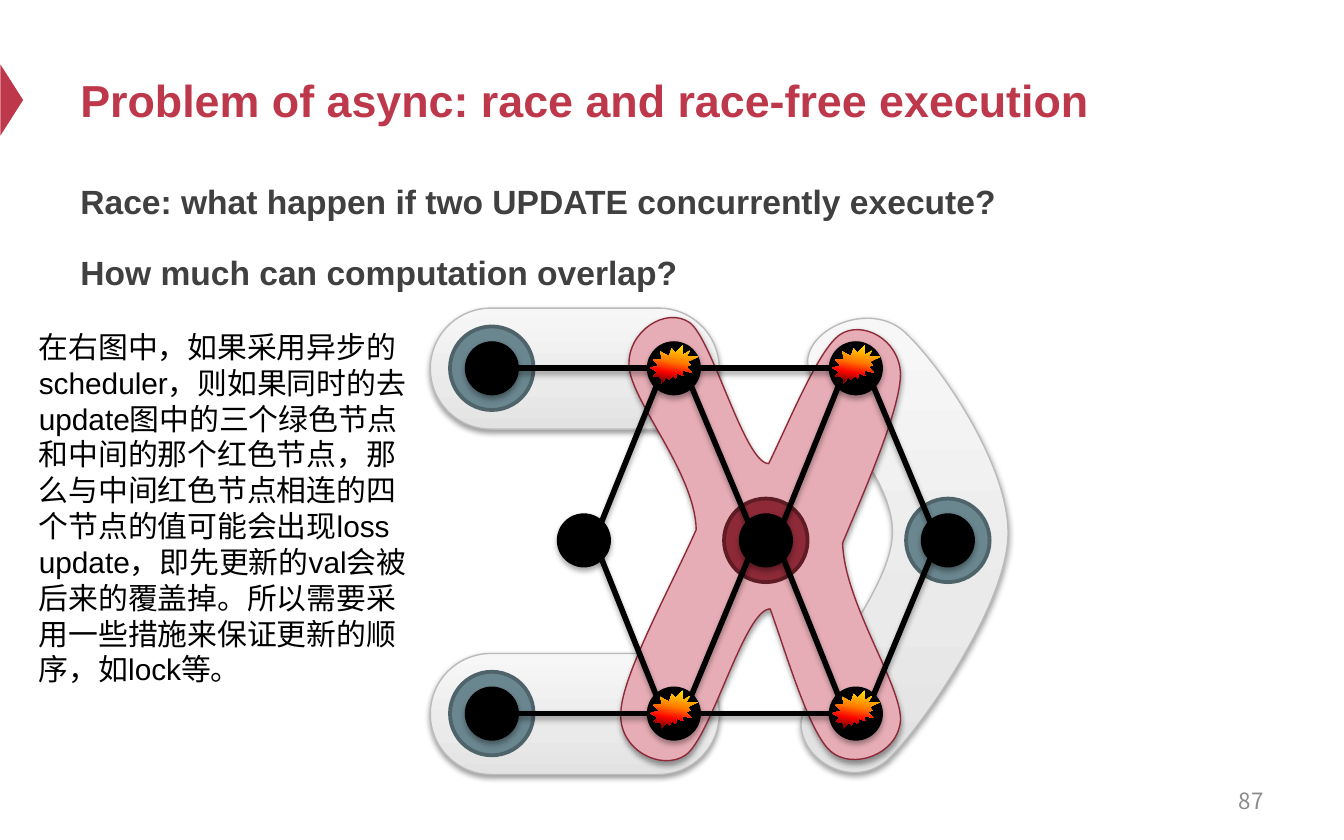
from dataclasses import dataclass
from math import hypot

from lxml import etree
from pptx import Presentation
from pptx import util as u
from pptx.dml.color import RGBColor
from pptx.enum import shapes, text
from pptx.oxml.ns import qn

Pt = u.Pt


@dataclass(frozen=True)
class Theme:
    accent: str = "BE384B"
    body: str = "404040"
    page: str = "8C8C8C"
    black: str = "000000"
    scope: tuple = ((0, "E2E2E2"), (35, "EAEAEA"), (100, "F7F7F7"))
    scope_line: str = "BBBBBB"
    conflict: str = "E7ADB6"
    red: str = "8E2A38"
    red_line: str = "5F1C25"
    green: str = "6A868F"
    green_line: str = "4E636A"
    burst: tuple = ((0, "FFF200"), (45, "FF7A00"), (70, "FF0300"), (100, "4D0808"))
    title_size: int = 24
    body_size: int = 18
    note_size: int = 16
    page_size: int = 12
    latin: str = "Arial"
    cjk: str = "Noto Sans CJK SC"


THEME = Theme()

# Graph layout: outer rows hold three nodes, the middle row is half a step to the right
LEFT, STEP, SHIFT = 263.5, 97.5, 49.3
ROWS = (197.3, 289.5, 382.3)
NODE_R, HALO_R = 13, 22.4

# Each outline: start point, then two control points and an end point per curve
RIGHT_SCOPE = (
    (540, 287.3),
    ((541.4, 249.1), (501.8, 193), (483.8, 177.1)),
    ((465.8, 162), (434.2, 175), (432.7, 193)),
    ((432, 211), (478.8, 252.7), (478.1, 285.1)),
    ((478.1, 317.5), (429.1, 368.6), (429.1, 388.1)),
    ((429.8, 408.2), (457.2, 423.4), (475.9, 406.8)),
    ((493.9, 389.5), (538.6, 325.4), (540, 287.3)),
)
CENTRE_SCOPE = (
    (369.4, 172.8),
    ((381.6, 181.4), (398.9, 248.4), (411.8, 248.4)),
    ((423.4, 224.6), (438.5, 187.2), (450, 179.3)),
    ((461.5, 171.4), (481.7, 181.4), (482.4, 200.2)),
    ((482.4, 218.9), (464.4, 259.9), (451.4, 290.9)),
    ((452.2, 322.6), (483.1, 367.2), (482.4, 385.9)),
    ((481, 404.6), (456.5, 412.6), (445, 402.5)),
    ((433.4, 392.4), (421.2, 349.9), (412.6, 326.2)),
    ((398.9, 326.2), (380.9, 395.3), (367.2, 404.6)),
    ((354.2, 413.3), (331.2, 401.8), (332.6, 381.6)),
    ((333.4, 361.4), (358.6, 316.1), (373, 283.7)),
    ((372.2, 252.7), (337.7, 214.6), (337, 195.8)),
    ((336.2, 177.1), (357.1, 164.2), (369.4, 172.8)),
)

NOTE = ("在右图中，如果采用异步的scheduler，则如果同时的去update图中的三个绿色节点"
        "和中间的那个红色节点，那么与中间红色节点相连的四个节点的值可能会出现loss update，"
        "即先更新的val会被后来的覆盖掉。所以需要采用一些措施来保证更新的顺序，如lock等。")


def rgb(value):
    return RGBColor.from_string(value)


def add_shadow(element, alpha=35, dist=1.8):
    """Put a soft downward shadow on a shape or connector whose line is already set."""
    properties = element._element.spPr
    effects = properties.find(qn("a:effectLst"))
    if effects is None:
        effects = etree.SubElement(properties, qn("a:effectLst"))
    shadow = etree.SubElement(effects, qn("a:outerShdw"), blurRad=str(Pt(3.1)),
                              dist=str(Pt(dist)), dir="5400000", rotWithShape="0")
    colour = etree.SubElement(shadow, qn("a:srgbClr"), val=THEME.black)
    etree.SubElement(colour, qn("a:alpha"), val=str(alpha * 1000))


def fill_gradient(shape, stops, angle):
    """Fill with (percent, colour) stops; the angle runs clockwise."""
    shape.fill.gradient()
    shape.fill.gradient_angle = 360 - angle
    stop_list = shape._element.spPr.find(qn("a:gradFill")).find(qn("a:gsLst"))
    for stop in list(stop_list):
        stop_list.remove(stop)
    for percent, colour in stops:
        stop = etree.SubElement(stop_list, qn("a:gs"), pos=str(percent * 1000))
        etree.SubElement(stop, qn("a:srgbClr"), val=colour)


def paint(shape, fill, line=None, width=0.75, angle=270):
    """Fill with one colour or gradient stops, and outline if a line colour is given."""
    shape.shadow.inherit = False
    if isinstance(fill, str):
        shape.fill.solid()
        shape.fill.fore_color.rgb = rgb(fill)
    else:
        fill_gradient(shape, fill, angle)
    if line:
        shape.line.color.rgb = rgb(line)
        shape.line.width = Pt(width)
    else:
        shape.line.fill.background()
    return shape


def add_preset(slide, kind, left, top, width, height):
    return slide.shapes.add_shape(kind, Pt(left), Pt(top), Pt(width), Pt(height))


def add_text(slide, box, lines, size, colour, font=THEME.latin, bold=False,
             anchor=text.MSO_ANCHOR.TOP, align=text.PP_ALIGN.LEFT, spacing=None, gap=0):
    frame = slide.shapes.add_textbox(*map(Pt, box)).text_frame
    frame.word_wrap = True
    frame.vertical_anchor = anchor
    frame.text = "\n".join(lines)
    for index, paragraph in enumerate(frame.paragraphs):
        paragraph.alignment = align
        paragraph.line_spacing = spacing
        paragraph.space_before = Pt(gap if index else 0)
        for run in paragraph.runs:
            run.font.size, run.font.bold, run.font.name = Pt(size), bold, font
            run.font.color.rgb = rgb(colour)
            etree.SubElement(run.font._element, qn("a:ea"), typeface=THEME.cjk)


def add_curved_scope(slide, outline, fill, line):
    """Build the outline from its anchors, then bend each side into a Bezier curve."""
    start, *curves = outline
    builder = slide.shapes.build_freeform(Pt(start[0]), Pt(start[1]))
    builder.add_line_segments([(Pt(x), Pt(y)) for _, _, (x, y) in curves], close=True)
    scope = builder.convert_to_shape()
    sides = list(scope._element.spPr.iter(qn("a:lnTo")))
    for side, curve in zip(sides, curves):
        bend = etree.Element(qn("a:cubicBezTo"))
        for x, y in curve:
            etree.SubElement(bend, qn("a:pt"), x=str(Pt(x) - scope.left), y=str(Pt(y) - scope.top))
        side.getparent().replace(side, bend)
    add_shadow(paint(scope, fill, line), 38, 1.6)


def add_row_scope(slide, row):
    scope = add_preset(slide, shapes.MSO_SHAPE.ROUNDED_RECTANGLE, 230.5, ROWS[row] - 32.2, 154.8, 64.8)
    scope.adjustments[0] = 0.5
    add_shadow(paint(scope, THEME.scope, THEME.scope_line), 38, 1.6)


def add_circle(slide, centre, radius, fill, line, width):
    x, y = centre
    circle = add_preset(slide, shapes.MSO_SHAPE.OVAL, x - radius, y - radius, 2 * radius, 2 * radius)
    return paint(circle, fill, line, width)


def add_edge(slide, start, end):
    """Join two nodes: sideways at their sides, slanted at their diagonal points."""
    dx, dy = (b - a for a, b in zip(start, end))
    signs = [(d > 0) - (d < 0) for d in (dx, dy)]
    offset = [NODE_R * sign / hypot(*signs) for sign in signs]
    ends = [Pt(a + o) for a, o in zip(start, offset)] + [Pt(b - o) for b, o in zip(end, offset)]
    edge = slide.shapes.add_connector(shapes.MSO_CONNECTOR.STRAIGHT, *ends)
    edge.line.color.rgb = rgb(THEME.black)
    edge.line.width = Pt(3)
    add_shadow(edge)


def add_row_edges(slide, outer, middle):
    for start, end in zip(outer, outer[1:]):
        add_edge(slide, start, end)
    for start, end in ((0, 1), (2, 2), (1, 2), (1, 1)):
        add_edge(slide, middle[start], outer[end])


def add_burst(slide, node):
    x, y = node
    burst = add_preset(slide, shapes.MSO_SHAPE.EXPLOSION2, x - 12.5, y - 12.3, 25.2, 20.2)
    add_shadow(paint(burst, THEME.burst, angle=100))


def add_graph(slide):
    top, middle, bottom = [
        [(LEFT + STEP * column + shift, y) for column in range(3)]
        for shift, y in zip((0, SHIFT, 0), ROWS)]

    add_curved_scope(slide, RIGHT_SCOPE, THEME.scope, THEME.scope_line)
    for row in (2, 0):
        add_row_scope(slide, row)
    add_curved_scope(slide, CENTRE_SCOPE, THEME.conflict, THEME.red)

    add_circle(slide, middle[1], HALO_R, THEME.red, THEME.red_line, 2)
    for node in (bottom[0], top[0], middle[2]):
        add_circle(slide, node, HALO_R, THEME.green, THEME.green_line, 2)

    add_row_edges(slide, top, middle)
    for node in top + bottom + middle:
        add_shadow(add_circle(slide, node, NODE_R, THEME.black, THEME.black, 3))
    add_row_edges(slide, bottom, middle)
    for node in top[1:] + bottom[1:]:
        add_burst(slide, node)


def main():
    deck = Presentation()
    deck.slide_width, deck.slide_height = Pt(720), Pt(450)
    slide = deck.slides.add_slide(deck.slide_layouts[6])

    marker = add_preset(slide, shapes.MSO_SHAPE.ISOSCELES_TRIANGLE, -12.8, 47.5, 38.2, 12.2)
    marker.rotation = 90
    paint(marker, THEME.accent)
    add_text(slide, (36, 18, 648, 70.6), ["Problem of async: race and race-free execution"],
             THEME.title_size, THEME.accent, bold=True, anchor=text.MSO_ANCHOR.MIDDLE)
    add_text(slide, (36, 89.3, 648, 296.6),
             ["Race: what happen if two UPDATE concurrently execute?", "How much can computation overlap?"],
             THEME.body_size, THEME.body, bold=True, spacing=1.2, gap=12)
    add_text(slide, (516.2, 416.9, 167.8, 23.8), ["87"], THEME.page_size, THEME.page, font=THEME.cjk,
             anchor=text.MSO_ANCHOR.MIDDLE, align=text.PP_ALIGN.RIGHT)
    add_graph(slide)
    add_text(slide, (13.7, 172.5, 216.7, 200.9), [NOTE], THEME.note_size, THEME.black)

    deck.save("out.pptx")


if __name__ == "__main__":
    main()
